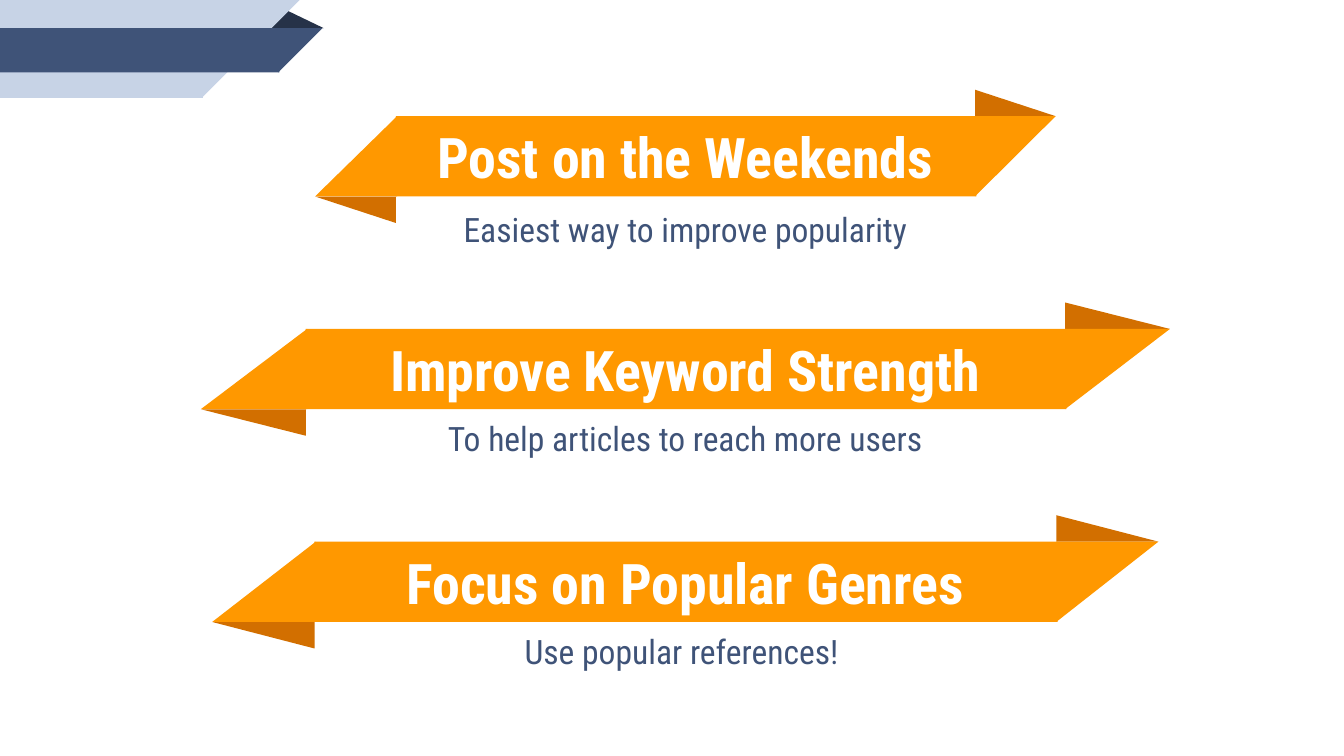
from pptx import Presentation
from pptx.dml.color import RGBColor
from pptx.enum.shapes import MSO_SHAPE as Preset
from pptx.enum.text import MSO_ANCHOR as Anchor, PP_ALIGN as Align
from pptx.util import Inches, Pt

COLORS = {"band": "FF9800", "fold": "D26F00", "navy": "3F5378",
          "shade": "263248", "pale": "C7D3E6", "white": "FFFFFF"}
COLUMNS, ROWS = 100, 56.25
OVERLAP = 0.1


class Deck:
    """Draws ribbons and text on a slide, measured in grid columns and rows."""

    def __init__(self, width, font):
        self.file = Presentation()
        self.file.slide_width = Inches(width)
        self.file.slide_height = Inches(width * 9 / 16)
        self.column = self.file.slide_width / COLUMNS
        self.row = self.file.slide_height / ROWS
        self.font = font
        self.slide = self.file.slides.add_slide(self.file.slide_layouts[6])
        self.slide.background.fill.solid()
        self.slide.background.fill.fore_color.rgb = self.color("white")

    def color(self, name):
        return RGBColor.from_string(COLORS[name])

    def frame(self, left, top, width, height):
        return (round(left * self.column), round(top * self.row),
                round(width * self.column), round(height * self.row))

    def group(self):
        return self.slide.shapes.add_group_shape().shapes

    def piece(self, group, preset, box, color, apex=None, turn=0, flip=None):
        part = group.add_shape(preset, *self.frame(*box))
        part.shadow.inherit = False
        part.fill.solid()
        part.fill.fore_color.rgb = self.color(color)
        part.line.fill.background()
        part.rotation = turn
        if apex is not None:
            part.adjustments[0] = apex
        if flip:
            part.element.spPr.get_or_add_xfrm().set(flip, "1")

    def stripe(self, group, left, top, width, height, slant, color):
        self.piece(group, Preset.RECTANGLE, (left, top, width + OVERLAP, height), color)
        self.piece(group, Preset.RIGHT_TRIANGLE,
                   (left + width, top, slant, height), color, flip="flipV")

    def ribbon(self, left, top, width, height, slant, fold):
        group, right, bottom = self.group(), left + width - slant, top + height
        self.piece(group, Preset.ISOSCELES_TRIANGLE,
                   (right, top - fold, slant, fold), "fold", apex=0)
        self.stripe(group, left + slant, top, width - 2 * slant, height, slant, "band")
        self.piece(group, Preset.RIGHT_TRIANGLE,
                   (left, top, slant + OVERLAP, height), "band", flip="flipH")
        self.piece(group, Preset.ISOSCELES_TRIANGLE,
                   (left, bottom, slant, fold), "fold", apex=0, turn=180)

    def text(self, box, words, size, color, bold=False, before=0, after=0):
        frame = self.slide.shapes.add_textbox(*self.frame(*box)).text_frame
        frame.word_wrap, frame.vertical_anchor = True, Anchor.MIDDLE
        frame.margin_left = frame.margin_right = Inches(0.1)
        frame.margin_top = frame.margin_bottom = Inches(0.1)
        paragraph = frame.paragraphs[0]
        paragraph.alignment = Align.CENTER
        paragraph.space_before, paragraph.space_after = Pt(before), Pt(after)
        run = paragraph.add_run()
        run.text = words
        run.font.name, run.font.size, run.font.bold = self.font, Pt(size), bold
        run.font.color.rgb = self.color(color)


deck = Deck(10, "Roboto Condensed")

corner = deck.group()
deck.piece(corner, Preset.ISOSCELES_TRIANGLE, (19.8, 0.7, 4.3, 1.4), "shade", apex=0.324)
deck.stripe(corner, 0, 0, 15, 7.3, 7.3, "pale")
deck.stripe(corner, 0, 2.1, 20.7, 3.3, 3.3, "navy")

TIPS = [
    ("Post on the Weekends", "Easiest way to improve popularity", 55.1, 6, 42.8, 5.1),
    ("Improve Keyword Strength", "To help articles to reach more users", 72.1, 7.8, 50.6, 4.5),
    ("Focus on Popular Genres", "Use popular references! ", 70.4, 7.6, 53.8, 4.5),
]
MIDDLE, FIRST, PITCH, BAND, FOLD, DETAIL = 51, 8.65, 15.83, 5.97, 1.97, 42.8

for index, (title, detail, span, slant, title_width, detail_height) in enumerate(TIPS):
    top = FIRST + index * PITCH
    deck.ribbon(MIDDLE - span / 2, top, span, BAND, slant, FOLD)
    deck.text((MIDDLE - title_width / 2, top + 0.1, title_width, BAND - 0.2),
              title, 30, "white", bold=True)
    deck.text((MIDDLE - DETAIL / 2, top + BAND - 0.1, DETAIL, detail_height),
              detail, 18, "navy", before=6, after=10)

deck.file.save("out.pptx")
